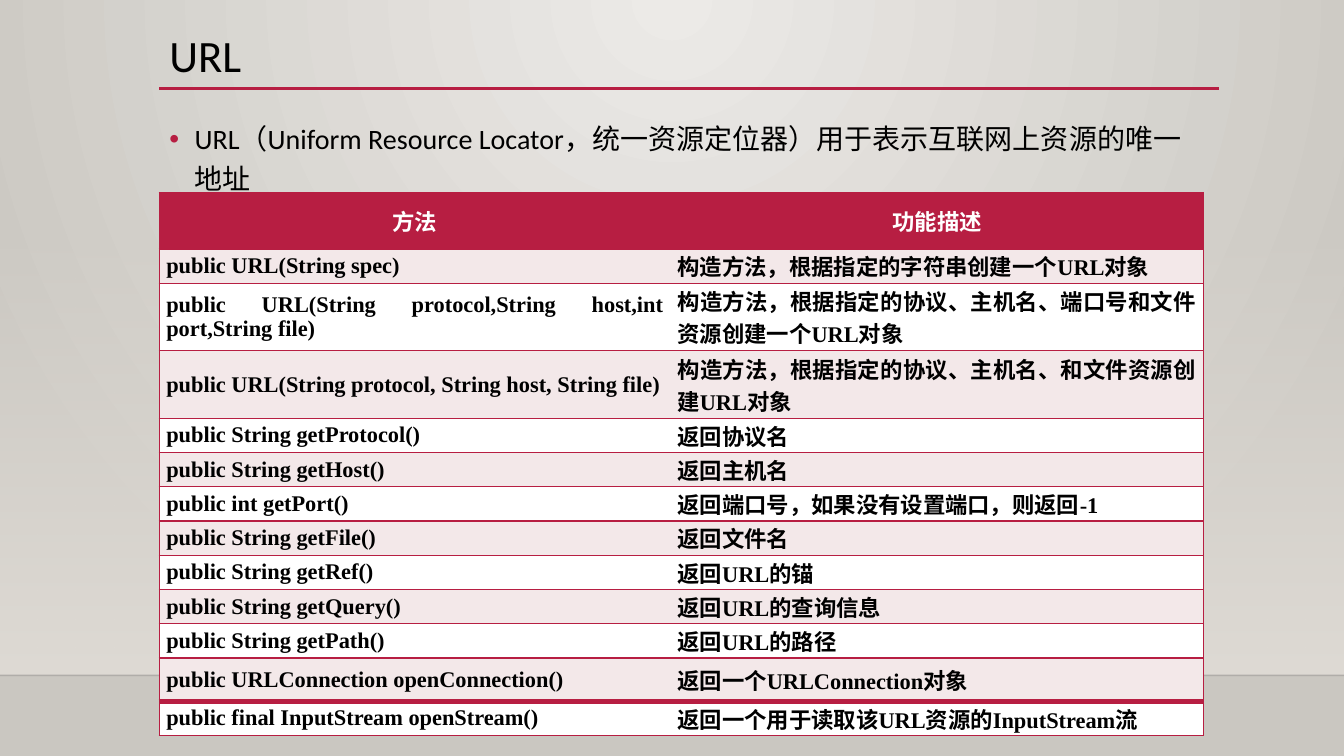
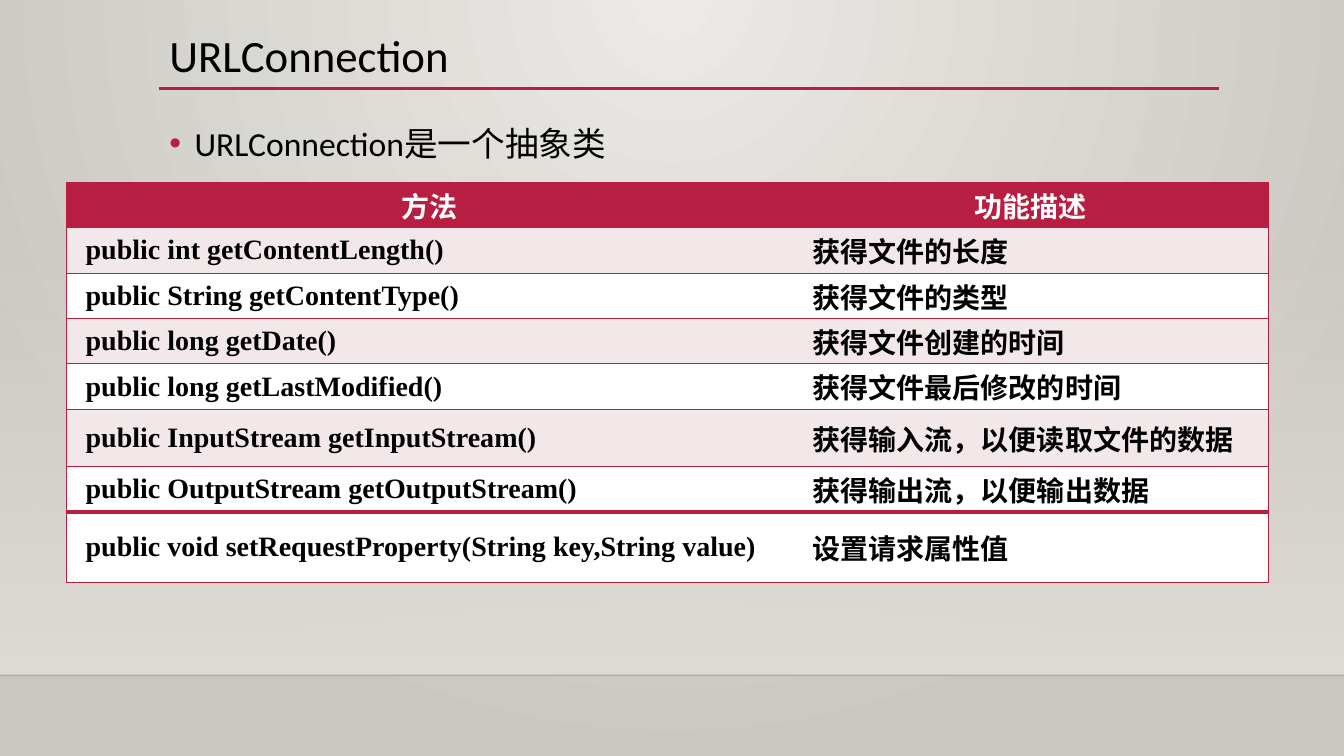
from dataclasses import dataclass

from pptx import Presentation
from pptx.dml.color import RGBColor
from pptx.enum.shapes import MSO_CONNECTOR, MSO_SHAPE
from pptx.enum.text import MSO_ANCHOR, MSO_AUTO_SIZE, PP_ALIGN
from pptx.oxml import parse_xml
from pptx.oxml.ns import nsdecls, qn
from pptx.util import Inches, Pt


@dataclass(frozen=True)
class Theme:
    accent: str = "B71E42"
    ink: str = "000000"
    white: str = "FFFFFF"
    band: str = "F3E8E9"
    glow: str = "ECEAE7"
    edge: str = "CAC7C1"
    wall: str = "DFDBD5"
    floor_line: str = "000001"
    heading_font: str = "Calibri"
    table_font: str = "Times New Roman"
    title_size: int = 32
    thin: float = 1
    rule: float = 2.5
    thick: float = 4


THEME = Theme()
WIDTH, HEIGHT = 13.33, 7.5
LEFT, TEXT_WIDTH = 1.58, 10.5
RULE_TOP, WALL_TOP, FLOOR_TOP = 0.88, 2.21, 6.7
NO_GRID_STYLE = "{2D5ABB26-0587-4C30-8999-92F81FD0307C}"
HEADER = ("方法", "功能描述")

PAGES = [
    {
        "title": "URL",
        "lead": "URL（Uniform Resource Locator，统一资源定位器）用于表示互联网上资源的唯一地址",
        "lead_size": 20,
        "table_size": 16,
        "indent": 0,
        "corner": (1.58, 1.91),
        "columns": (5.07, 5.29),
        "row_height": 0.34,
        "tall_rows": {0: 0.56, 2: 0.67, 3: 0.67, 11: 0.43},
        "methods": [
            ("public URL(String spec)", "构造方法，根据指定的字符串创建一个URL对象"),
            ("public URL(String protocol,String host,int port,String file)",
             "构造方法，根据指定的协议、主机名、端口号和文件资源创建一个URL对象"),
            ("public URL(String protocol, String host, String file)",
             "构造方法，根据指定的协议、主机名、和文件资源创建URL对象"),
            ("public String getProtocol()", "返回协议名"),
            ("public String getHost()", "返回主机名"),
            ("public int getPort()", "返回端口号，如果没有设置端口，则返回-1"),
            ("public String getFile()", "返回文件名"),
            ("public String getRef()", "返回URL的锚"),
            ("public String getQuery()", "返回URL的查询信息"),
            ("public String getPath()", "返回URL的路径"),
            ("public URLConnection openConnection()", "返回一个URLConnection对象"),
            ("public final InputStream openStream()",
             "返回一个用于读取该URL资源的InputStream流"),
        ],
    },
    {
        "title": "URLConnection",
        "lead": "URLConnection是一个抽象类",
        "lead_size": 24,
        "table_size": 20,
        "indent": 0.12,
        "corner": (0.66, 1.81),
        "columns": (7.21, 4.71),
        "row_height": 0.45,
        "tall_rows": {5: 0.57, 7: 0.7},
        "methods": [
            ("public int getContentLength()", "获得文件的长度"),
            ("public String getContentType()", "获得文件的类型"),
            ("public long getDate()", "获得文件创建的时间"),
            ("public long getLastModified()", "获得文件最后修改的时间"),
            ("public InputStream getInputStream()", "获得输入流，以便读取文件的数据"),
            ("public OutputStream getOutputStream()", "获得输出流，以便输出数据"),
            ("public void setRequestProperty(String key,String value)", "设置请求属性值"),
        ],
    },
]


def write(frame, text, size, font, color=THEME.ink, bold=False,
          align=PP_ALIGN.LEFT, spacing=1.0, before=0, indent=0, hanging=0):
    para = frame.paragraphs[0]
    para.alignment = align
    para.line_spacing = spacing
    para.space_before = Pt(before)
    properties = para._p.get_or_add_pPr()
    properties.set("marL", str(Inches(indent)))
    properties.set("indent", str(Inches(-hanging)))
    span = para.add_run()
    span.text = text
    span.font.size = Pt(size)
    span.font.name = font
    span.font.bold = bold
    span.font.color.rgb = RGBColor.from_string(color)
    return properties


def add_bullet(properties):
    for xml in (
        f'<a:buClr {nsdecls("a")}><a:srgbClr val="{THEME.accent}"/></a:buClr>',
        f'<a:buFont {nsdecls("a")} typeface="Arial"/>',
        f'<a:buChar {nsdecls("a")} char="•"/>',
    ):
        properties.append(parse_xml(xml))


def set_alpha(fill_element, percent):
    color = fill_element.find(f".//{qn('a:srgbClr')}")
    color.append(parse_xml(f'<a:alpha {nsdecls("a")} val="{percent * 1000}"/>'))


def set_gradient(fill, first, last):
    fill.gradient()
    for stop, color in zip(fill.gradient_stops, (first, last)):
        stop.color.rgb = RGBColor.from_string(color)


def add_rule(page, left, top, width, color, weight):
    rule = page.shapes.add_connector(
        MSO_CONNECTOR.STRAIGHT, Inches(left), Inches(top), Inches(left + width), Inches(top))
    rule.line.color.rgb = RGBColor.from_string(color)
    rule.line.width = Pt(weight)
    rule.element.spPr.append(parse_xml(f'<a:effectLst {nsdecls("a")}/>'))
    return rule


def build_backdrop(deck, layout):
    master = deck.slide_master
    set_gradient(master.background.fill, THEME.glow, THEME.edge)
    gradient = master.element.find(f".//{qn('p:bg')}//{qn('a:gradFill')}")
    gradient.remove(gradient.find(qn("a:lin")))
    gradient.append(parse_xml(
        f'<a:path {nsdecls("a")} path="circle">'
        '<a:fillToRect l="43000" t="0" r="43000" b="100000"/></a:path>'))


def build_scenery(page, layout):
    wall = page.shapes.add_shape(
        MSO_SHAPE.RECTANGLE, 0, Inches(WALL_TOP), Inches(WIDTH), Inches(FLOOR_TOP - WALL_TOP))
    wall.shadow.inherit = False
    wall.line.fill.background()
    set_gradient(wall.fill, THEME.wall, THEME.wall)
    wall.fill.gradient_angle = 270
    set_alpha(wall.element.spPr.find(qn("a:gradFill")), 0)

    floor = add_rule(page, 0, FLOOR_TOP, WIDTH, THEME.floor_line, THEME.thin)
    set_alpha(floor.element.spPr.find(qn("a:ln")), 20)
    title_rule = add_rule(page, LEFT, RULE_TOP, WIDTH - LEFT - 1.24, THEME.accent, THEME.rule)

    for part in (wall, floor, title_rule):
        layout.shapes.element.append(part.element)


def place(holder, top, height, anchor):
    holder.left, holder.top = Inches(LEFT), Inches(top)
    holder.width, holder.height = Inches(TEXT_WIDTH), Inches(height)
    frame = holder.text_frame
    frame.word_wrap = True
    frame.auto_size = MSO_AUTO_SIZE.NONE
    frame.vertical_anchor = anchor
    return frame


def set_borders(cell, **weights):
    properties = cell._tc.get_or_add_tcPr()
    for side in "LRTB":
        weight = weights.get(side, 0)
        paint = (f'<a:solidFill><a:srgbClr val="{THEME.accent}"/></a:solidFill>'
                 if weight else "<a:noFill/>")
        properties.append(parse_xml(
            f'<a:ln{side} {nsdecls("a")} w="{Pt(weight)}">{paint}</a:ln{side}>'))


def add_method_table(page, content):
    rows = [HEADER, *content["methods"]]
    last = len(rows) - 1
    heights = [content["tall_rows"].get(i, content["row_height"]) for i in range(len(rows))]
    left, top = content["corner"]
    frame = page.shapes.add_table(
        len(rows), len(HEADER), Inches(left), Inches(top),
        Inches(sum(content["columns"])), Inches(sum(heights)))
    table = frame.table
    table.horz_banding = False
    table._tbl.tblPr.find(qn("a:tableStyleId")).text = NO_GRID_STYLE
    for column, width in zip(table.columns, content["columns"]):
        column.width = Inches(width)

    for i, (texts, height) in enumerate(zip(rows, heights)):
        table.rows[i].height = Inches(height)
        is_header = i == 0
        fill = THEME.accent if is_header else THEME.band if i % 2 and i < last else THEME.white
        for j, text in enumerate(texts):
            cell = table.cell(i, j)
            cell.vertical_anchor = MSO_ANCHOR.MIDDLE
            cell.margin_left = cell.margin_right = Inches(0.07)
            cell.margin_top = cell.margin_bottom = 0
            set_borders(
                cell,
                T=THEME.thick if i == last else THEME.thin,
                B=THEME.thick if i == last - 1 else THEME.thin,
                **{"L" if j == 0 else "R": THEME.thin})
            cell.fill.solid()
            cell.fill.fore_color.rgb = RGBColor.from_string(fill)
            write(cell.text_frame, text, content["table_size"], THEME.table_font, bold=True,
                  color=THEME.white if is_header else THEME.ink,
                  align=PP_ALIGN.CENTER if is_header else PP_ALIGN.JUSTIFY,
                  indent=0 if is_header else content["indent"])


def add_page(deck, layout, content):
    page = deck.slides.add_slide(layout)
    title = place(page.shapes.title, 0.28, 0.6, MSO_ANCHOR.MIDDLE)
    write(title, content["title"], THEME.title_size, THEME.heading_font, spacing=0.9)
    body = place(page.placeholders[1], 1.09, 4.33, MSO_ANCHOR.TOP)
    add_bullet(write(body, content["lead"], content["lead_size"], THEME.heading_font,
                     spacing=1.2, before=10, indent=0.25, hanging=0.25))
    add_method_table(page, content)
    return page


def main():
    deck = Presentation()
    deck.slide_width, deck.slide_height = Inches(WIDTH), Inches(HEIGHT)
    layout = deck.slide_layouts[1]
    for holder in list(layout.placeholders):
        if holder.placeholder_format.idx >= 10:
            layout.shapes.element.remove(holder.element)
    build_backdrop(deck, layout)
    pages = [add_page(deck, layout, content) for content in PAGES]
    build_scenery(pages[0], layout)
    deck.save("out.pptx")


if __name__ == "__main__":
    main()
